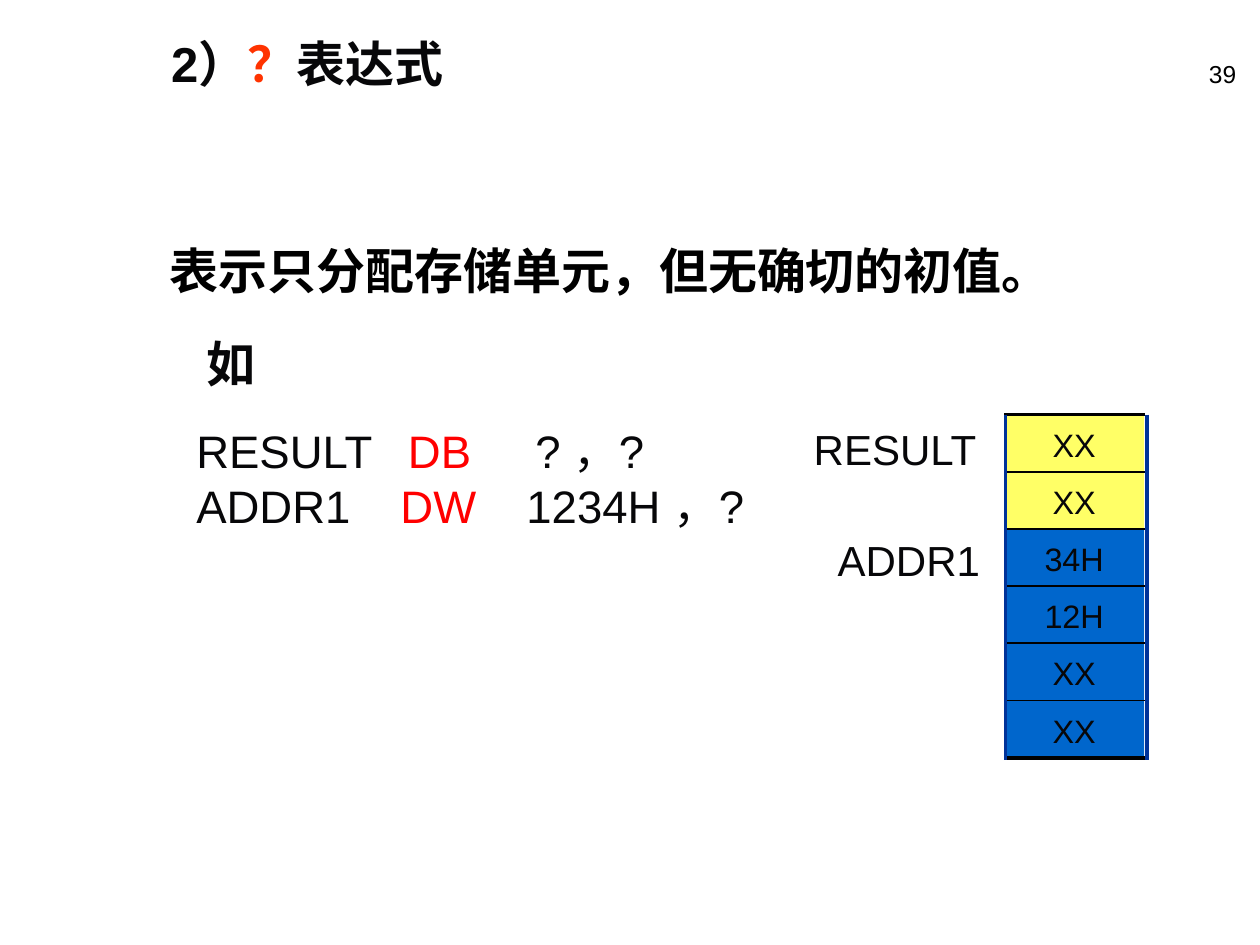
from dataclasses import dataclass

from lxml.etree import SubElement
from pptx import Presentation
from pptx.dml.color import RGBColor as Color
from pptx.enum.shapes import MSO_CONNECTOR as Connector, MSO_SHAPE as Shape
from pptx.enum.text import MSO_AUTO_SIZE as AutoSize, MSO_ANCHOR as Anchor, PP_ALIGN as Align
from pptx.oxml.ns import qn
from pptx.util import Inches, Pt


@dataclass(frozen=True)
class Theme:
    font: str = "Arial"
    ink: str = "070709"
    black: str = "000000"
    mark: str = "FF3300"
    keyword: str = "FF0000"
    byte_fill: str = "FFFF66"
    word_fill: str = "0066CC"
    frame: str = "003399"
    heading: float = 28
    code: float = 26
    label: float = 24
    cell: float = 18.5
    number: float = 14
    thick: float = 2.25
    thin: float = 1


THEME = Theme()
SLIDE_WIDTH, SLIDE_HEIGHT = Inches(10), Inches(7.5)
COLUMNS, ROWS = 100, 75
MEMORY_LEFT, MEMORY_TOP = 79.7, 32.9
CELL_WIDTH, CELL_HEIGHT = 11.1, 4.54


def across(columns):
    return round(SLIDE_WIDTH * columns / COLUMNS)


def down(rows):
    return round(SLIDE_HEIGHT * rows / ROWS)


def place(left, top, width, height):
    return across(left), down(top), across(width), down(height)


def format_runs(paragraph, size, colors, bold=False):
    for run, color in zip(paragraph.runs, colors):
        run.font.name = THEME.font
        run.font.size = Pt(size)
        run.font.bold = bold
        run.font.color.rgb = Color.from_string(color)


def add_text(slide, area, parts, size, colors=(THEME.ink,), bold=False, align=Align.LEFT):
    frame = slide.shapes.add_textbox(*place(*area)).text_frame
    frame.word_wrap = align == Align.RIGHT
    frame.auto_size = AutoSize.NONE if frame.word_wrap else AutoSize.SHAPE_TO_FIT_TEXT
    paragraph = frame.paragraphs[0]
    paragraph.alignment = align
    for part in parts:
        paragraph.add_run().text = part
    format_runs(paragraph, size, colors, bold)


def add_tab_stops(paragraph, stops):
    tab_list = SubElement(paragraph._p.get_or_add_pPr(), qn("a:tabLst"))
    for stop in stops:
        SubElement(tab_list, qn("a:tab"), pos=str(across(stop)), algn="l")


def add_code(slide, area, lines):
    frame = slide.shapes.add_textbox(*place(*area)).text_frame
    frame.word_wrap = True
    for index, (name, directive, values, stops) in enumerate(lines):
        paragraph = frame.add_paragraph() if index else frame.paragraphs[0]
        add_tab_stops(paragraph, stops)
        for part in (f"{name}\t", directive, f"\t{values}"):
            paragraph.add_run().text = part
        format_runs(paragraph, THEME.code, (THEME.ink, THEME.keyword, THEME.ink))


def add_cell(slide, row, text, fill):
    area = place(MEMORY_LEFT, MEMORY_TOP + row * CELL_HEIGHT, CELL_WIDTH, CELL_HEIGHT)
    cell = slide.shapes.add_shape(Shape.RECTANGLE, *area)
    cell.shadow.inherit = False
    cell.fill.solid()
    cell.fill.fore_color.rgb = Color.from_string(fill)
    cell.line.fill.background()
    frame = cell.text_frame
    frame.vertical_anchor = Anchor.TOP
    frame.text = text
    paragraph = frame.paragraphs[0]
    paragraph.alignment = Align.CENTER
    paragraph.line_spacing = 1.1
    format_runs(paragraph, THEME.cell, (THEME.ink,))


def add_line(slide, start, end, color, width):
    line = slide.shapes.add_connector(
        Connector.STRAIGHT, across(start[0]), down(start[1]), across(end[0]), down(end[1])
    )
    line.line.color.rgb = Color.from_string(color)
    line.line.width = Pt(width)
    SubElement(line._element.spPr, qn("a:effectLst"))


def add_memory(slide, cells):
    for row, (text, fill) in enumerate(cells):
        add_cell(slide, row, text, fill)
    right = MEMORY_LEFT + CELL_WIDTH + 0.1
    for row in range(len(cells) + 1):
        level = MEMORY_TOP + row * CELL_HEIGHT
        width = THEME.thick if row in (0, len(cells)) else THEME.thin
        add_line(slide, (MEMORY_LEFT, level), (right, level), THEME.black, width)
    bottom = MEMORY_TOP + len(cells) * CELL_HEIGHT + 0.2
    for side in (MEMORY_LEFT + 0.1, right + 0.1):
        add_line(slide, (side, MEMORY_TOP), (side, bottom), THEME.frame, THEME.thick)


def main():
    presentation = Presentation()
    presentation.slide_width, presentation.slide_height = SLIDE_WIDTH, SLIDE_HEIGHT
    slide = presentation.slides.add_slide(presentation.slide_layouts[6])

    add_text(slide, (78.3, 4.2, 20.8, 5), ["39"], THEME.number, (THEME.black,), align=Align.RIGHT)
    add_text(slide, (12.6, 2.2, 24.5, 5.7), ["2）", "？", "表达式"], THEME.heading,
             (THEME.ink, THEME.mark, THEME.ink), bold=True)
    add_text(slide, (12.5, 18.6, 72.8, 5.7), ["表示只分配存储单元，但无确切的初值。"],
             THEME.heading, (THEME.black,), bold=True)
    add_text(slide, (15.4, 26, 5.9, 5.7), ["如"], THEME.heading, bold=True)
    add_code(slide, (14.6, 33.1, 56.7, 14), [
        ("RESULT", "DB", "? ，?", (16.8, 26.9)),
        ("ADDR1", "DW", "1234H ，?", (16.2, 26.2)),
    ])
    add_memory(slide, [("XX", THEME.byte_fill)] * 2
               + [(text, THEME.word_fill) for text in ("34H", "12H", "XX", "XX")])
    add_text(slide, (63.6, 33.1, 15.1, 5), ["RESULT"], THEME.label)
    add_text(slide, (65.5, 41.9, 13.3, 5), ["ADDR1"], THEME.label)
    presentation.save("out.pptx")


if __name__ == "__main__":
    main()
